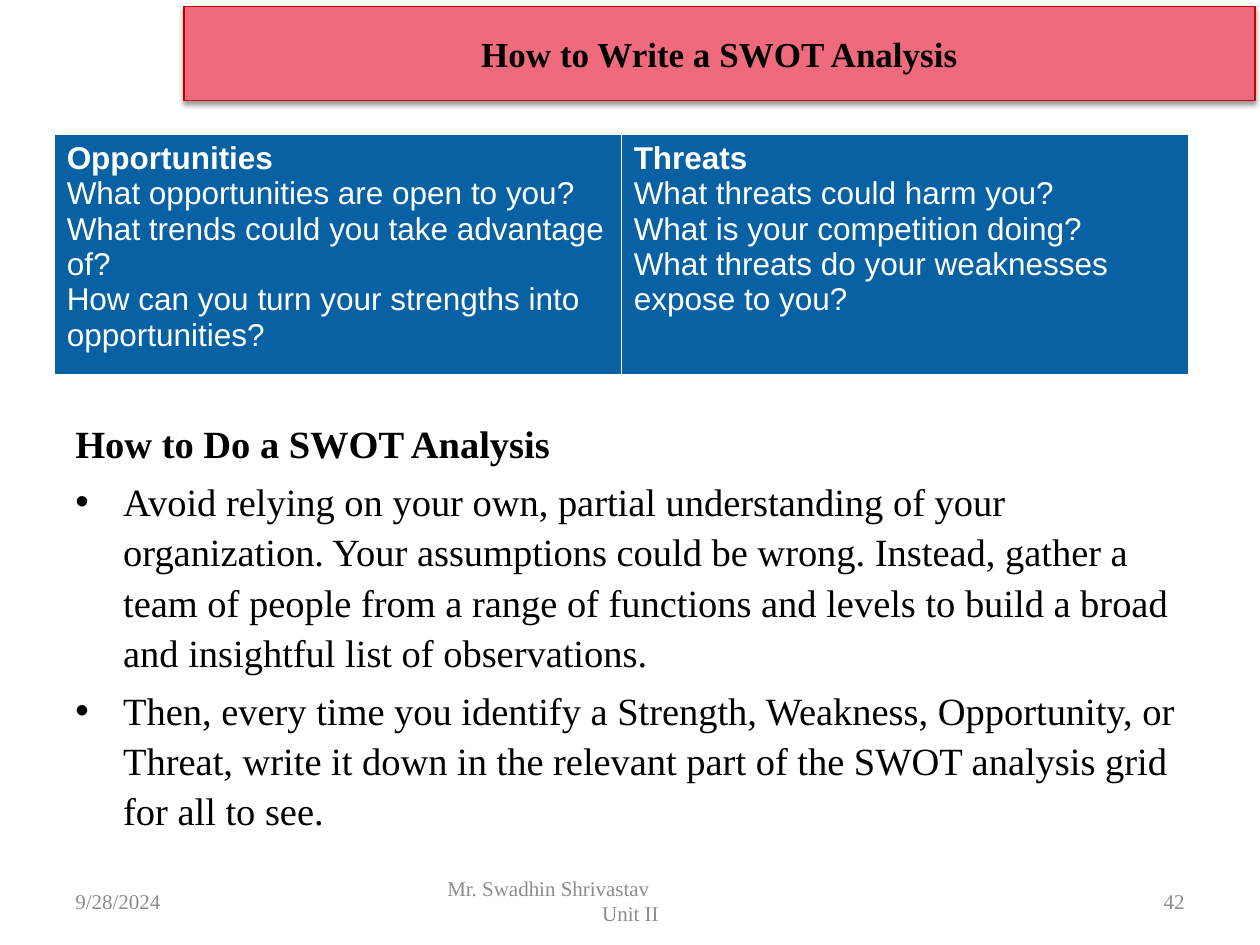
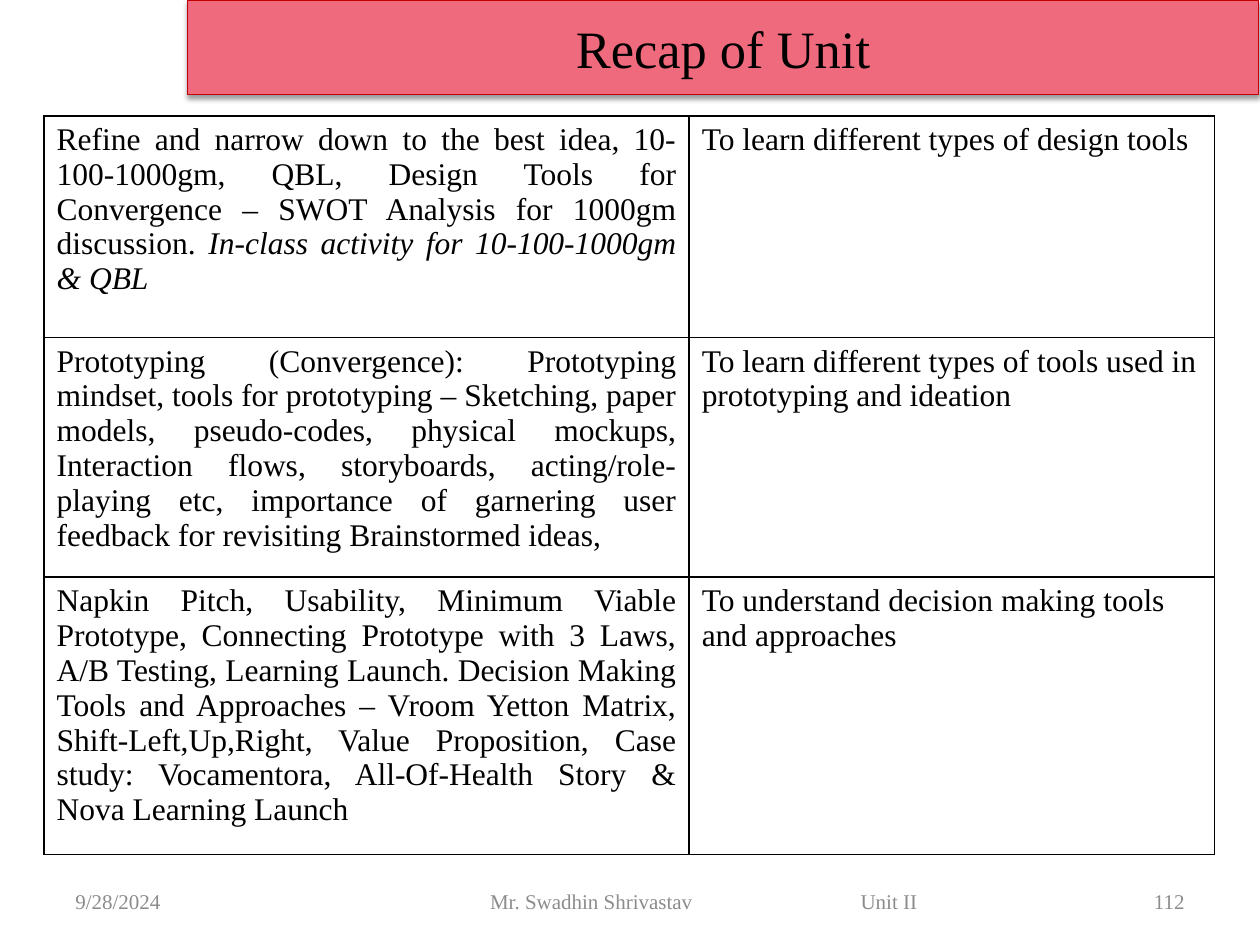
import pptx
import pptx.dml.color
import pptx.enum.text
import pptx.oxml
import pptx.oxml.ns
import pptx.util
from dataclasses import dataclass

Inches = pptx.util.Inches
Pt = pptx.util.Pt
ALIGN = pptx.enum.text.PP_ALIGN
MIDDLE = pptx.enum.text.MSO_ANCHOR.MIDDLE
NS = pptx.oxml.ns.nsdecls("a")


@dataclass(frozen=True)
class Theme:
    serif: str = "Times New Roman"
    sans: str = "Arial"
    black: str = "000000"
    white: str = "FFFFFF"
    grey: str = "8C8C8C"
    band: str = "F06A7D"
    band_line: str = "C00000"
    blue: str = "0861A2"
    footer_size: int = 12
    table_size: int = 18
    body_size: int = 22


T = Theme()

DATE = "9/28/2024"
AUTHOR = "Mr. Swadhin Shrivastav"
UNIT = "Unit II"

SWOT_TITLE = "How to Write a SWOT Analysis"
SWOT_CELLS = [[
    [("Opportunities\n", "b"),
     ("What opportunities are open to you?\n"
      "What trends could you take advantage of?\n"
      "How can you turn your strengths into opportunities?", "")],
    [("Threats\n", "b"),
     ("What threats could harm you?\n"
      "What is your competition doing?\n"
      "What threats do your weaknesses expose to you?", "")],
]]
HOW_TO_HEADING = "How to Do a SWOT Analysis"
HOW_TO_STEPS = [
    "Avoid relying on your own, partial understanding of your organization. "
    "Your assumptions could be wrong. Instead, gather a team of people from a "
    "range of functions and levels to build a broad and insightful list of "
    "observations.",
    "Then, every time you identify a Strength, Weakness, Opportunity, or Threat, "
    "write it down in the relevant part of the SWOT analysis grid for all to see.",
]

RECAP_TITLE = "Recap of Unit"
RECAP_CELLS = [
    [[("Refine and narrow down to the best idea, 10-100-1000gm, QBL, Design Tools "
       "for Convergence – SWOT Analysis for 1000gm discussion. ", ""),
      ("In-class activity for 10-100-1000gm & QBL", "i")],
     [("To learn different types of design tools", "")]],
    [[("Prototyping (Convergence): Prototyping mindset, tools for prototyping – "
       "Sketching, paper models, pseudo-codes, physical mockups, Interaction "
       "flows, storyboards, acting/role-playing etc, importance of garnering user "
       "feedback for revisiting Brainstormed ideas,", "")],
     [("To learn different types of tools used in prototyping and ideation", "")]],
    [[("Napkin Pitch, Usability, Minimum Viable Prototype, Connecting Prototype "
       "with 3 Laws, A/B Testing, Learning Launch. Decision Making Tools and "
       "Approaches – Vroom Yetton Matrix, Shift-Left,Up,Right, Value Proposition, "
       "Case study: Vocamentora, All-Of-Health Story & Nova Learning Launch", "")],
     [("To understand decision making tools and approaches", "")]],
]


def rgb(color):
    return pptx.dml.color.RGBColor.from_string(color)


def add_run(p, text, size, color=T.black, font=T.serif, style=""):
    for i, line in enumerate(text.split("\n")):
        if i:
            p.add_line_break()
        if line:
            r = p.add_run()
            r.text = line
            r.font.name = font
            r.font.size = Pt(size)
            r.font.color.rgb = rgb(color)
            r.font.bold = "b" in style
            r.font.italic = "i" in style


def add_box(slide, left, top, width, height):
    sp = slide.shapes.add_textbox(*map(Inches, (left, top, width, height)))
    sp.text_frame.word_wrap = True
    return sp.text_frame


def add_title(slide, text, left, top, size, style=""):
    sp = slide.shapes.title
    sp.left, sp.top, sp.width, sp.height = map(Inches, (left, top, 8.5, 0.75))
    sp.fill.solid()
    sp.fill.fore_color.rgb = rgb(T.band)
    sp.line.color.rgb = rgb(T.band_line)
    sp.line.width = Pt(0.75)
    sp._element.spPr.append(pptx.oxml.parse_xml(
        f'<a:effectLst {NS}><a:outerShdw blurRad="{Pt(3.1)}" dist="{Pt(1.6)}" '
        f'dir="5400000" rotWithShape="0"><a:srgbClr val="{T.black}">'
        '<a:alpha val="38000"/></a:srgbClr></a:outerShdw></a:effectLst>'))
    tf = sp.text_frame
    tf.vertical_anchor = MIDDLE
    p = tf.paragraphs[0]
    p.alignment = ALIGN.CENTER
    add_run(p, text, size, style=style)


def add_footer(slide, number, left, width, inset, lines, indent=0, tab=None):
    parts = [(0.5, 2.33, 0.1, [DATE], ALIGN.LEFT),
             (left, width, inset, lines, ALIGN.LEFT),
             (7.17, 2.33, 0.1, [number], ALIGN.RIGHT)]
    for x, w, margin, texts, align in parts:
        tf = add_box(slide, x, 6.95, w, 0.4)
        tf.vertical_anchor = MIDDLE
        tf.margin_left = Inches(margin)
        for i, text in enumerate(texts):
            p = tf.add_paragraph() if i else tf.paragraphs[0]
            p.alignment = align
            pPr = p._p.get_or_add_pPr()
            if i:
                pPr.set("marL", str(Inches(indent)))
            if "\t" in text:
                pPr.append(pptx.oxml.parse_xml(
                    f'<a:tabLst {NS}><a:tab pos="{Inches(tab)}" algn="l"/></a:tabLst>'))
            add_run(p, text, T.footer_size, T.grey)


def add_grid(slide, cells, left, top, cols, rows, border, border_width,
             color=T.black, font=T.serif, fill=None, first_align=ALIGN.LEFT):
    table = slide.shapes.add_table(
        len(rows), len(cols),
        *map(Inches, (left, top, sum(cols), sum(rows)))).table
    table.first_row = table.horz_banding = False
    for column, width in zip(table.columns, cols):
        column.width = Inches(width)
    for row, height in zip(table.rows, rows):
        row.height = Inches(height)
    for y, line in enumerate(cells):
        for x, runs in enumerate(line):
            cell = table.cell(y, x)
            if fill:
                cell.fill.solid()
                cell.fill.fore_color.rgb = rgb(fill)
            else:
                cell.fill.background()
            tcPr = cell._tc.get_or_add_tcPr()
            for i, side in enumerate("LRTB"):
                tcPr.insert(i, pptx.oxml.parse_xml(
                    f'<a:ln{side} {NS} w="{Pt(border_width)}"><a:solidFill>'
                    f'<a:srgbClr val="{border}"/></a:solidFill></a:ln{side}>'))
            p = cell.text_frame.paragraphs[0]
            p.alignment = ALIGN.LEFT if x else first_align
            for text, style in runs:
                add_run(p, text, T.table_size, color, font, style)


def add_how_to(slide):
    tf = add_box(slide, 0.5, 1.75, 9, 4.95)
    tf.margin_top = Inches(1.55)
    for i, text in enumerate([HOW_TO_HEADING] + HOW_TO_STEPS):
        p = tf.add_paragraph() if i else tf.paragraphs[0]
        p.line_spacing = 1.09
        if i:
            p.space_before = Pt(T.body_size * 0.2)
            pPr = p._p.get_or_add_pPr()
            pPr.set("marL", str(Inches(0.38)))
            pPr.set("indent", str(-Inches(0.38)))
            pPr.append(pptx.oxml.parse_xml(f'<a:buFont {NS} typeface="{T.sans}"/>'))
            pPr.append(pptx.oxml.parse_xml(f'<a:buChar {NS} char="•"/>'))
        add_run(p, text, T.body_size, style="" if i else "b")


def main():
    prs = pptx.Presentation()
    prs.slide_width, prs.slide_height = Inches(10), Inches(7.5)
    layout = prs.slide_layouts[5]

    swot = prs.slides.add_slide(layout)
    add_title(swot, SWOT_TITLE, 1.46, 0.05, 20, "b")
    add_footer(swot, "42", 3.42, 3.17, 0.13, [AUTHOR, UNIT], indent=1.23)
    add_how_to(swot)
    add_grid(swot, SWOT_CELLS, 0.43, 1.07, [4.5, 4.5], [1.77], T.white, 0.6,
             color=T.white, font=T.sans, fill=T.blue)

    recap = prs.slides.add_slide(layout)
    add_title(recap, RECAP_TITLE, 1.49, 0, 30)
    add_footer(recap, "112", 2.75, 5.67, 1.14, [f"{AUTHOR}\t{UNIT}"], tab=2.94)
    add_grid(recap, RECAP_CELLS, 0.35, 0.92, [5.12, 4.17], [1.76, 1.76, 2.03],
             T.black, 1, first_align=ALIGN.JUSTIFY)

    prs.save("out.pptx")


if __name__ == "__main__":
    main()
